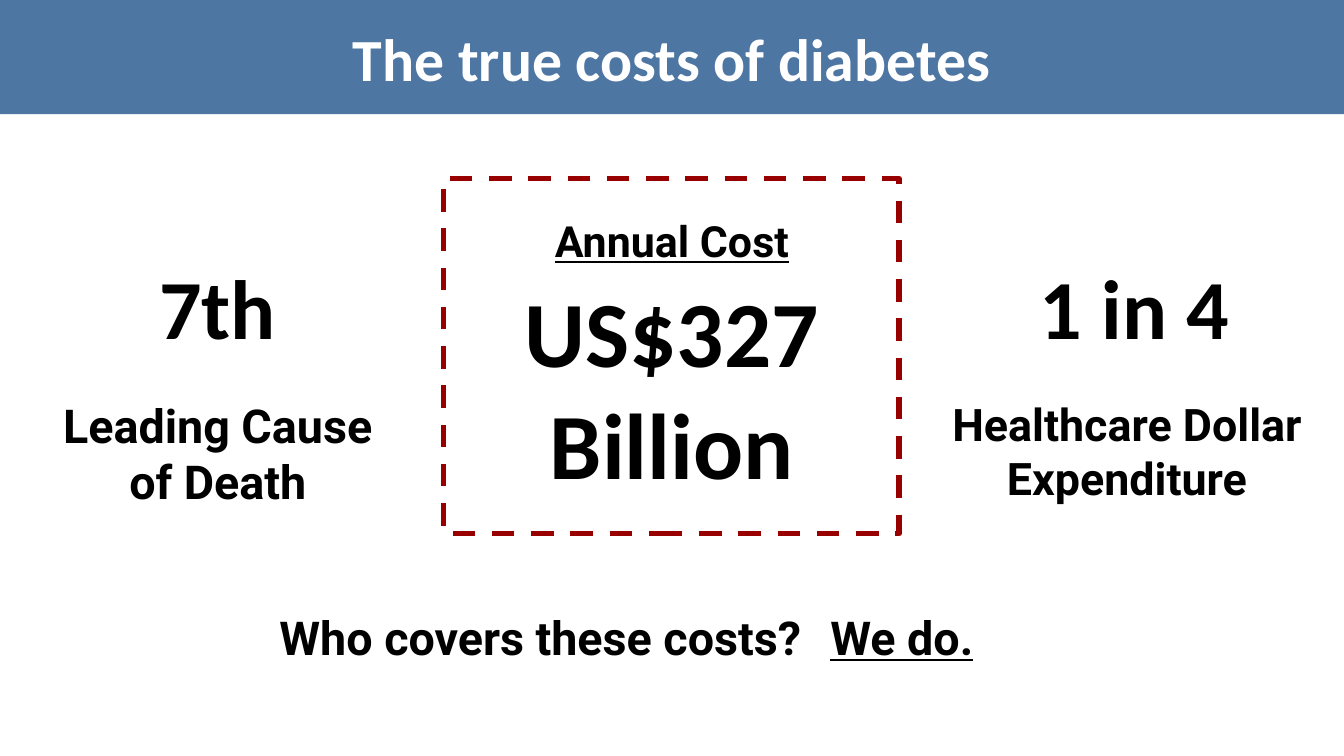
from lxml.etree import SubElement
from pptx import Presentation
from pptx.dml.color import RGBColor
from pptx.enum.dml import MSO_LINE
from pptx.enum.shapes import MSO_SHAPE
from pptx.enum.text import MSO_ANCHOR, MSO_AUTO_SIZE, PP_ALIGN
from pptx.oxml.ns import qn
from pptx.util import Inches, Pt

COLORS = {"banner": "033D7D", "frame": "980000", "text": "000000", "title": "FFFFFF"}
HEADING_FONT, BODY_FONT = "Calibri", "Roboto"
SLIDE_WIDTH = 10
SLIDE_HEIGHT = SLIDE_WIDTH * 9 / 16

TITLE = "The true costs of diabetes"
BANNER_BOX = (0, 0, SLIDE_WIDTH, 0.85)
BANNER_OPACITY = 70
FRAME_BOX = (3.3, 1.33, 3.39, 2.64)

# Each text: wording, (left, top, width, height), font, size, underlined
LEFT_FACT = [
    ("7th", (0.28, 1.8, 2.68, 0.96), HEADING_FONT, 45, False),
    ("Leading Cause of Death", (0.28, 2.85, 2.68, 1.04), BODY_FONT, 25, False),
]
RIGHT_FACT = [
    ("1 in 4", (7.1, 1.8, 2.68, 0.96), HEADING_FONT, 45, False),
    ("Healthcare Dollar Expenditure", (6.88, 2.85, 3.01, 1.01), BODY_FONT, 24, False),
]
ANNUAL_COST = [
    ("US$327 Billion", (3.66, 1.94, 2.68, 1.89), HEADING_FONT, 50, False),
    ("Annual Cost", (3.44, 1.5, 3.12, 0.59), BODY_FONT, 23, True),
]
QUESTION = ("Who covers these costs?", (1.7, 4.43, 4.64, 0.62), BODY_FONT, 25, False)
ANSWER = ("We do.", (6.08, 4.43, 1.71, 0.62), BODY_FONT, 25, True)


def color(name):
    return RGBColor.from_string(COLORS[name])


def write(shape, text, font, size, color_name, underline=False,
          align=PP_ALIGN.CENTER, margins=(0.1, 0.1)):
    frame = shape.text_frame
    frame.word_wrap = True
    frame.margin_left = frame.margin_right = Inches(margins[0])
    frame.margin_top = frame.margin_bottom = Inches(margins[1])
    frame.text = text
    paragraph = frame.paragraphs[0]
    paragraph.alignment = align
    style = paragraph.runs[0].font
    style.name, style.size, style.bold = font, Pt(size), True
    style.color.rgb = color(color_name)
    if underline:
        style.underline = True


def add_rectangle(shapes, box):
    shape = shapes.add_shape(MSO_SHAPE.RECTANGLE, *map(Inches, box))
    shape.shadow.inherit = False
    return shape


def add_text(shapes, item, align=PP_ALIGN.CENTER):
    text, box, font, size, underline = item
    shape = shapes.add_textbox(*map(Inches, box))
    write(shape, text, font, size, "text", underline, align)
    shape.text_frame.auto_size = MSO_AUTO_SIZE.SHAPE_TO_FIT_TEXT


presentation = Presentation()
presentation.slide_width = Inches(SLIDE_WIDTH)
presentation.slide_height = Inches(SLIDE_HEIGHT)
slide = presentation.slides.add_slide(presentation.slide_layouts[6])

# Title banner, partly transparent
banner = add_rectangle(slide.shapes, BANNER_BOX)
banner.fill.solid()
banner.fill.fore_color.rgb = color("banner")
banner.line.fill.background()
fill_color = banner.element.spPr.find(qn("a:solidFill"))[0]
SubElement(fill_color, qn("a:alpha"), val=str(BANNER_OPACITY * 1000))
write(banner, TITLE, HEADING_FONT, 32, "title", margins=(0.07, 0.04))
banner.text_frame.vertical_anchor = MSO_ANCHOR.MIDDLE

# Question below the facts
add_text(slide.shapes, QUESTION)

# Facts on either side
for fact in (LEFT_FACT, RIGHT_FACT):
    group = slide.shapes.add_group_shape()
    for item in fact:
        add_text(group.shapes, item)

# Annual cost in a dashed frame
group = slide.shapes.add_group_shape()
cost_frame = add_rectangle(group.shapes, FRAME_BOX)
cost_frame.fill.background()
cost_frame.line.color.rgb = color("frame")
cost_frame.line.width = Pt(3)
cost_frame.line.dash_style = MSO_LINE.DASH
for item in ANNUAL_COST:
    add_text(group.shapes, item)

# Answer to the question
add_text(slide.shapes, ANSWER, PP_ALIGN.LEFT)

presentation.save("out.pptx")
